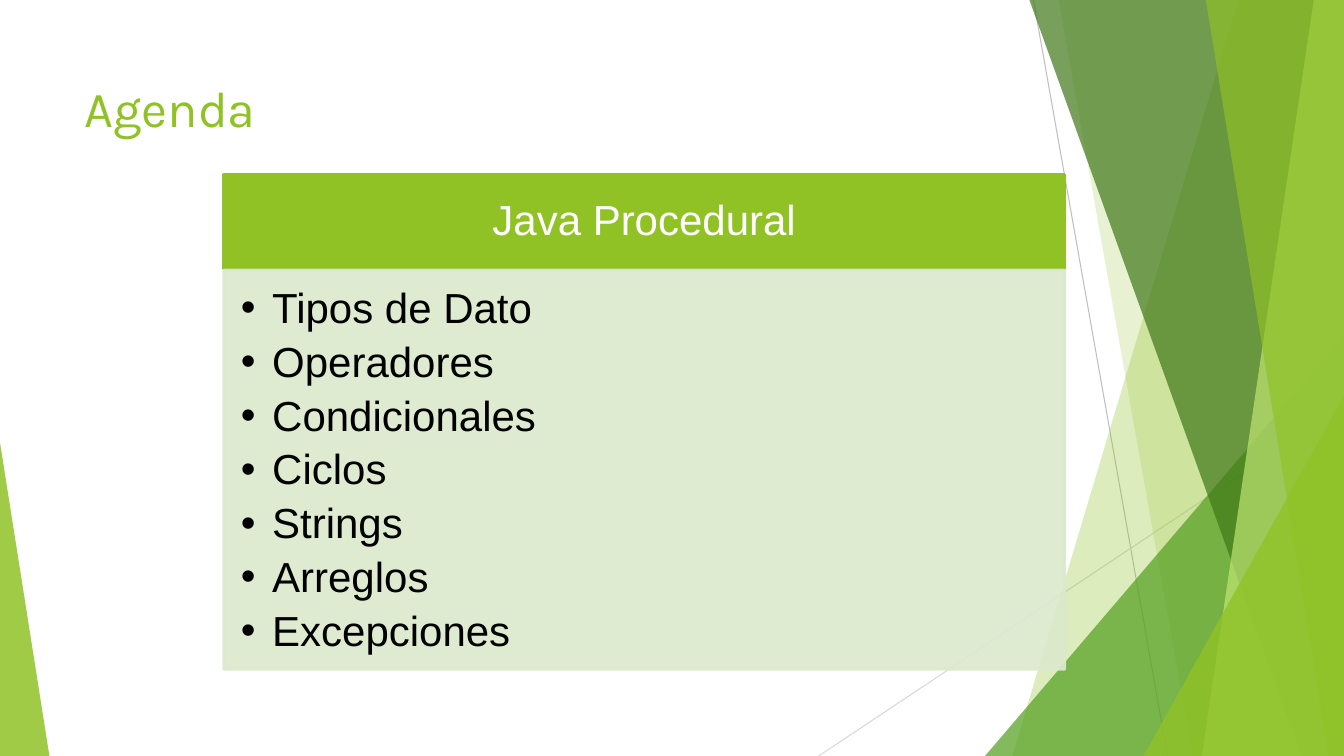
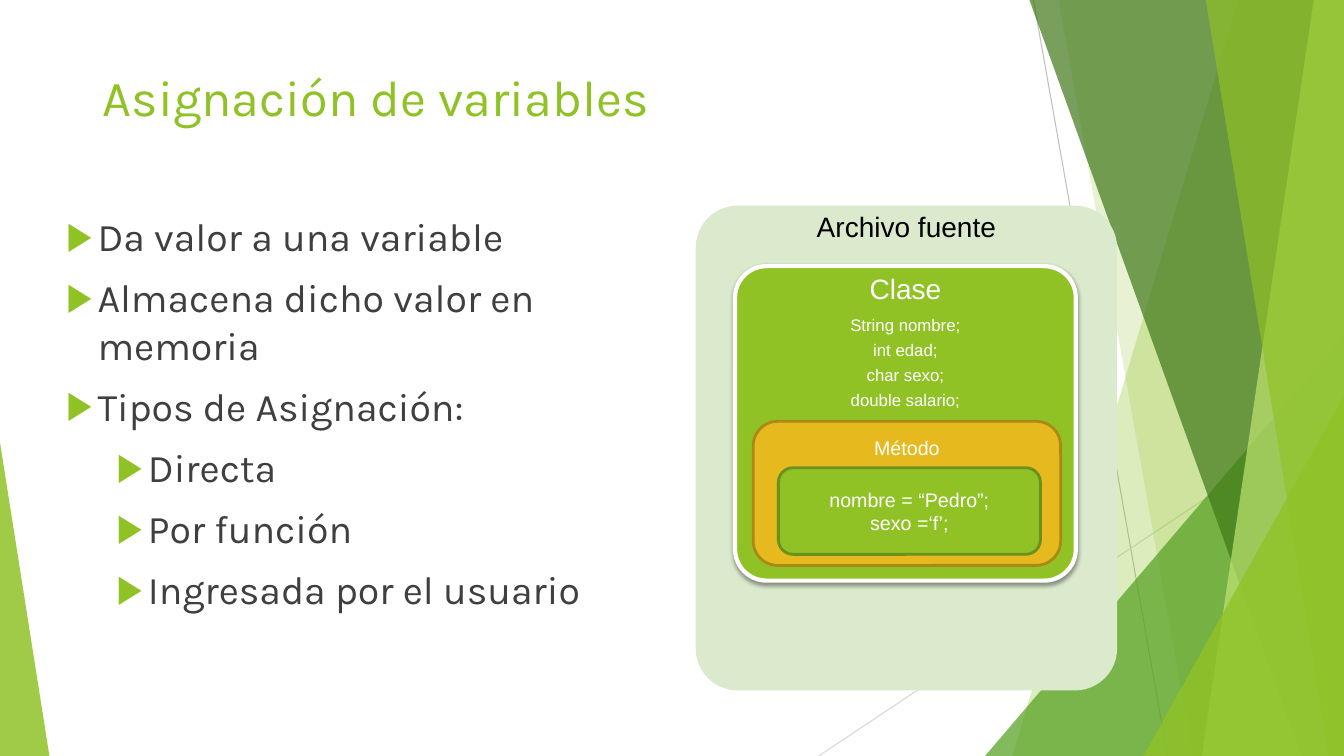
from dataclasses import dataclass
from lxml.etree import SubElement
from pptx import Presentation
from pptx.dml.color import RGBColor
from pptx.enum.shapes import MSO_CONNECTOR, MSO_SHAPE
from pptx.enum.text import MSO_ANCHOR, PP_ALIGN
from pptx.oxml.ns import qn
from pptx.util import Pt

PX = 9144  # EMU per px, 100 px to the inch
W, H = 1333, 750


@dataclass(frozen=True)
class Theme:
    lime: str = "90C226"
    lime_light: str = "BFE471"
    lime_dark: str = "6B901C"
    green: str = "54A021"
    green_dark: str = "3F7818"
    pale: str = "DBE9CD"
    gold: str = "E6B91E"
    gold_dark: str = "AA8916"
    grey: str = "BFBFBF"
    grey_light: str = "D8D8D8"
    ink: str = "3F3F3F"
    black: str = "000000"
    white: str = "FFFFFF"
    head_font: str = "Karla"
    body_font: str = "Arial"
    title: int = 36
    panel: int = 30
    body: int = 28
    label: int = 20
    code: int = 14
    small: int = 12


T = Theme()


def paint(s, fill, alpha=100, line=None, width=2):
    """Give a shape its fill and outline; alpha is the opacity in percent."""
    s.shadow.inherit = False
    s.fill.solid()
    s.fill.fore_color.rgb = RGBColor.from_string(fill)
    if line:
        s.line.color.rgb = RGBColor.from_string(line)
        s.line.width = Pt(width)
    else:
        s.line.fill.background()
    if alpha < 100:
        for clr in s._element.spPr.iter(qn("a:srgbClr")):
            SubElement(clr, qn("a:alpha"), val=str(alpha * 1000))


def write(s, lines, size, color, font=T.body_font, align=PP_ALIGN.LEFT,
          anchor=MSO_ANCHOR.TOP, inset=(10, 10, 10, 10), spacing=None,
          before=0, after=0, bullet=None, indents=None):
    """Fill a shape with one paragraph per line; indents are in px."""
    tf = s.text_frame
    tf.word_wrap = True
    tf.vertical_anchor = anchor
    (tf.margin_left, tf.margin_top,
     tf.margin_right, tf.margin_bottom) = [v * PX for v in inset]
    for i, text in enumerate(lines):
        p = tf.paragraphs[0] if i == 0 else tf.add_paragraph()
        p.alignment = align
        p.line_spacing = spacing
        p.space_before, p.space_after = Pt(before), Pt(after)
        if bullet:
            pPr = p._p.get_or_add_pPr()
            pPr.set("marL", str(indents[i] * PX))
            pPr.set("indent", str(-31 * PX))
            clr = SubElement(pPr, qn("a:buClr"))
            SubElement(clr, qn("a:srgbClr"), val=bullet[1])
            SubElement(pPr, qn("a:buFont"), typeface=T.body_font)
            SubElement(pPr, qn("a:buChar"), char=bullet[0])
        r = p.add_run()
        r.text = text
        r.font.name = font
        r.font.size = Pt(size)
        r.font.color.rgb = RGBColor.from_string(color)


prs = Presentation()
prs.slide_width, prs.slide_height = W * PX, H * PX

# Backdrop: bands are (top x, bottom x), triangles (x, y, w, h, apex)
rays = [((1025, 0, 1158, H), T.grey), ((W, 403, 812, H), T.grey_light)]
facets = [
    ((1228, 1004), T.lime, 30),
    ((1050, 1183), T.lime, 20),
    ((977, 333, 356, 417, 1), T.green, 72),
    ((1021, 1291), T.green_dark, 70),
    ((1303, 1192), T.lime_light, 70),
    ((1196, 1318), T.lime, 65),
    ((1134, 393, 199, 357, 1), T.lime, 80),
    ((0, 439, 49, 311, 0), T.lime, 85),
]
titles = [("Agenda", 74, 67), ("Asignación de variables", 92, 56)]

# Backdrop and title of every slide
for title, x, y in titles:
    shapes = prs.slides.add_slide(prs.slide_layouts[6]).shapes
    for ends, color in rays:
        s = shapes.add_connector(MSO_CONNECTOR.STRAIGHT, *[v * PX for v in ends])
        s.line.color.rgb = RGBColor.from_string(color)
        s.line.width = Pt(0.75)
        SubElement(s._element.spPr, qn("a:effectLst"))
    for geo, color, alpha in facets:
        if len(geo) == 2:
            top, bottom = geo
            fb = shapes.build_freeform(top, 0, scale=PX)
            fb.add_line_segments([(W, 0), (W, H), (bottom, H)])
            s = fb.convert_to_shape()
        else:
            s = shapes.add_shape(MSO_SHAPE.ISOSCELES_TRIANGLE,
                                 *[v * PX for v in geo[:4]])
            s.adjustments[0] = geo[4]
        paint(s, color, alpha)
    s = shapes.add_textbox(x * PX, y * PX, 940 * PX, 144 * PX)
    write(s, [title], T.title, T.lime, T.head_font)

agenda, assignment = [slide.shapes for slide in prs.slides]

# Agenda: header bar and topic list
s = agenda.add_shape(MSO_SHAPE.RECTANGLE, 222 * PX, 173 * PX, 834 * PX, 94 * PX)
paint(s, T.lime, line=T.lime)
write(s, ["Java Procedural"], T.panel, T.white, align=PP_ALIGN.CENTER,
      anchor=MSO_ANCHOR.MIDDLE, inset=(23, 13, 23, 13), spacing=0.9)

topics = ["Tipos de Dato", "Operadores", "Condicionales", "Ciclos", "Strings",
          "Arreglos", "Excepciones"]
s = agenda.add_shape(MSO_SHAPE.RECTANGLE, 222 * PX, 268 * PX, 834 * PX, 396 * PX)
paint(s, T.pale, 90, line=T.pale)
write(s, topics, T.panel, T.black, inset=(17, 17, 23, 26), spacing=0.9, after=6,
      bullet=("•", T.black), indents=[31] * len(topics))

# Assignment: nested boxes, from the source file down to the statements
boxes = [
    ((690, 204, 418, 481), 0.1, T.pale, None, 0),
    ((729, 264, 338, 312), 0.1, T.lime, T.white, 3),
    ((747, 418, 305, 143), 0.17, T.gold, T.gold_dark, 2),
    ((772, 464, 260, 86), 0.17, T.lime, T.lime_dark, 2),
]
nest = []
for box, radius, fill, line, width in boxes:
    s = assignment.add_shape(MSO_SHAPE.ROUNDED_RECTANGLE, *[v * PX for v in box])
    s.adjustments[0] = radius
    paint(s, fill, line=line, width=width)
    nest.append(s)
source_file, class_box, method_box, code_box = nest

# Soft shadow under the class box
effects = class_box._element.spPr.find(qn("a:effectLst"))
shadow = SubElement(effects, qn("a:outerShdw"), blurRad=str(Pt(3.1)),
                    dist=str(Pt(1.6)), dir="5400000", rotWithShape="0")
clr = SubElement(shadow, qn("a:srgbClr"), val=T.black)
SubElement(clr, qn("a:alpha"), val="38000")

# Labels of the nested boxes
s = assignment.add_textbox(690 * PX, 204 * PX, 418 * PX, 50 * PX)
write(s, ["Archivo fuente"], T.label, T.black, align=PP_ALIGN.CENTER,
      inset=(8, 8, 8, 8), spacing=0.9)
fields = ["String nombre;", "int edad;", "char sexo;", "double salario;"]
write(class_box, ["Clase"] + fields, T.small, T.white, align=PP_ALIGN.CENTER,
      inset=(6, 0, 6, 0), spacing=0.9, after=5)
heading = class_box.text_frame.paragraphs[0]
heading.space_after = Pt(8)
heading.runs[0].font.size = Pt(T.label)
write(method_box, ["Método"], T.code, T.white, align=PP_ALIGN.CENTER,
      inset=(10, 7, 10, 5))
write(code_box, ["nombre = “Pedro”;", "sexo =‘f’;"], T.code, T.white,
      align=PP_ALIGN.CENTER, anchor=MSO_ANCHOR.MIDDLE, inset=(10, 5, 10, 5))

# Assignment: bullet points on two levels
points = ["Da valor a una variable", "Almacena dicho valor en memoria",
          "Tipos de Asignación:", "Directa", "Por función",
          "Ingresada por el usuario"]
s = assignment.add_textbox(46 * PX, 201 * PX, 616 * PX, 481 * PX)
write(s, points, T.body, T.ink, T.head_font, before=10,
      bullet=("▶", T.lime), indents=[41] * 3 + [91] * 3)

prs.save("out.pptx")
